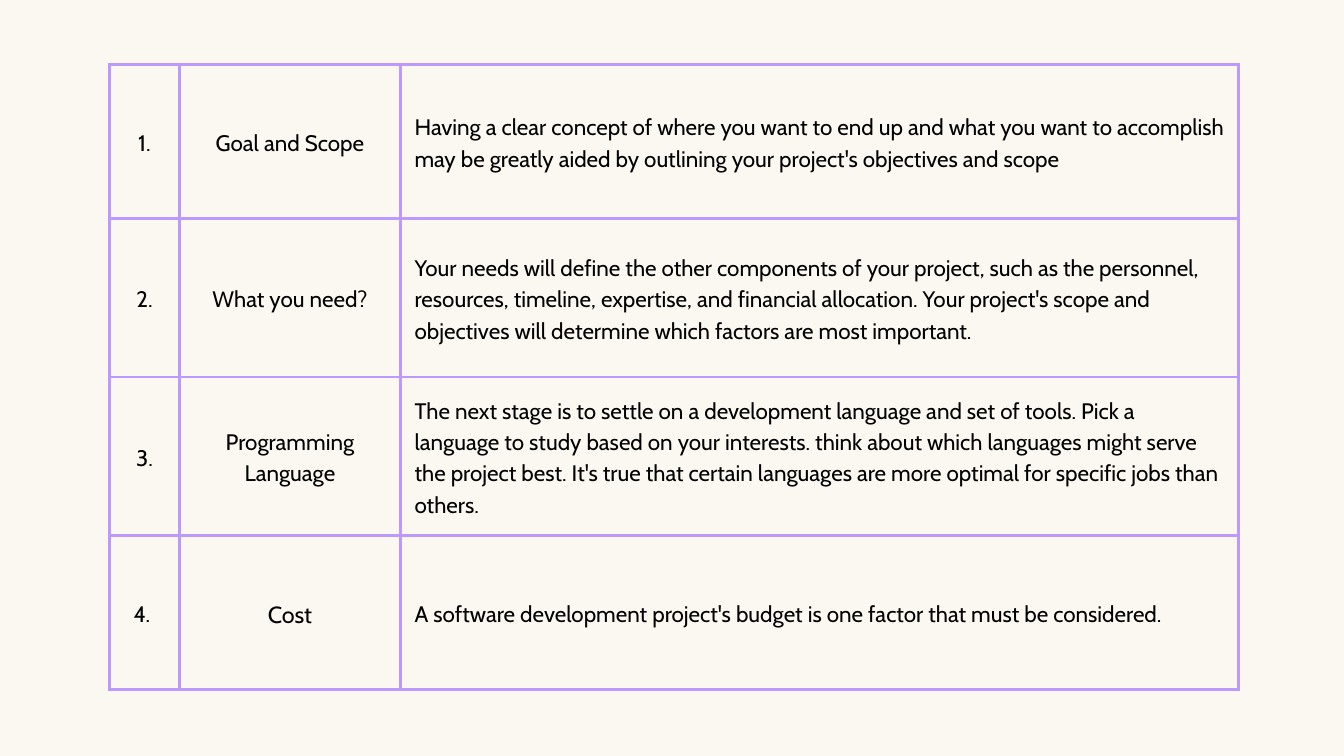
from lxml.etree import SubElement
from pptx import Presentation
from pptx.dml.color import RGBColor
from pptx.enum.text import MSO_ANCHOR, PP_ALIGN
from pptx.oxml.ns import qn
from pptx.util import Inches, Pt

THEME = {
    "background": "FBF7F1",
    "border": "BB99FF",
    "text": "000000",
    "font": "Cabin",
    "size": 24,
    "cost_size": 25,
    "leading": 1.4,
    "border_width": 3,
    "inset": 0.21,
}
COLUMNS = [1.04, 3.29, 12.47]
ROWS = [2.29, 2.36, 2.36, 2.29]
STEPS = [
    ("1.", "Goal and Scope", "Having a clear concept of where you want to end up and what you want to accomplish may be greatly aided by outlining your project's objectives and scope"),
    ("2.", "What you need?", "Your needs will define the other components of your project, such as the personnel, resources, timeline, expertise, and financial allocation. Your project's scope and objectives will determine which factors are most important."),
    ("3.", "Programming Language", "The next stage is to settle on a development language and set of tools. Pick a language to study based on your interests. think about which languages might serve the project best. It's true that certain languages are more optimal for specific jobs than others."),
    ("4. ", "Cost", "A software development project's budget is one factor that must be considered."),
]


def write_text(cell, text, *, size=THEME["size"], align=PP_ALIGN.CENTER):
    inset = Inches(THEME["inset"])
    cell.margin_left = cell.margin_right = inset
    cell.margin_top = cell.margin_bottom = inset
    cell.vertical_anchor = MSO_ANCHOR.MIDDLE
    paragraph = cell.text_frame.paragraphs[0]
    paragraph.alignment = align
    paragraph.line_spacing = Pt(size * THEME["leading"])
    run = paragraph.add_run()
    run.text = text
    run.font.name = THEME["font"]
    run.font.size = Pt(size)
    run.font.bold = False
    run.font.color.rgb = RGBColor.from_string(THEME["text"])


def draw_borders(cell):
    properties = cell._tc.get_or_add_tcPr()
    for side in ("a:lnL", "a:lnR", "a:lnT", "a:lnB"):
        line = SubElement(properties, qn(side), w=str(Pt(THEME["border_width"])))
        fill = SubElement(line, qn("a:solidFill"))
        SubElement(fill, qn("a:srgbClr"), val=THEME["border"])


presentation = Presentation()
presentation.slide_width = Inches(20)
presentation.slide_height = Inches(11.25)
slide = presentation.slides.add_slide(presentation.slide_layouts[6])
slide.background.fill.solid()
slide.background.fill.fore_color.rgb = RGBColor.from_string(THEME["background"])

table = slide.shapes.add_table(
    len(ROWS), len(COLUMNS), Inches(1.63), Inches(0.96),
    Inches(sum(COLUMNS)), Inches(sum(ROWS)),
).table
table.first_row = False
table.horz_banding = False
for column, width in zip(table.columns, COLUMNS):
    column.width = Inches(width)
for row, height in zip(table.rows, ROWS):
    row.height = Inches(height)

for row, (number, topic, description) in zip(table.rows, STEPS):
    number_cell, topic_cell, description_cell = row.cells
    topic_size = THEME["cost_size"] if topic == "Cost" else THEME["size"]
    write_text(number_cell, number)
    write_text(topic_cell, topic, size=topic_size)
    write_text(description_cell, description, align=PP_ALIGN.LEFT)
    for cell in row.cells:
        draw_borders(cell)
        cell.fill.background()

presentation.save("out.pptx")
